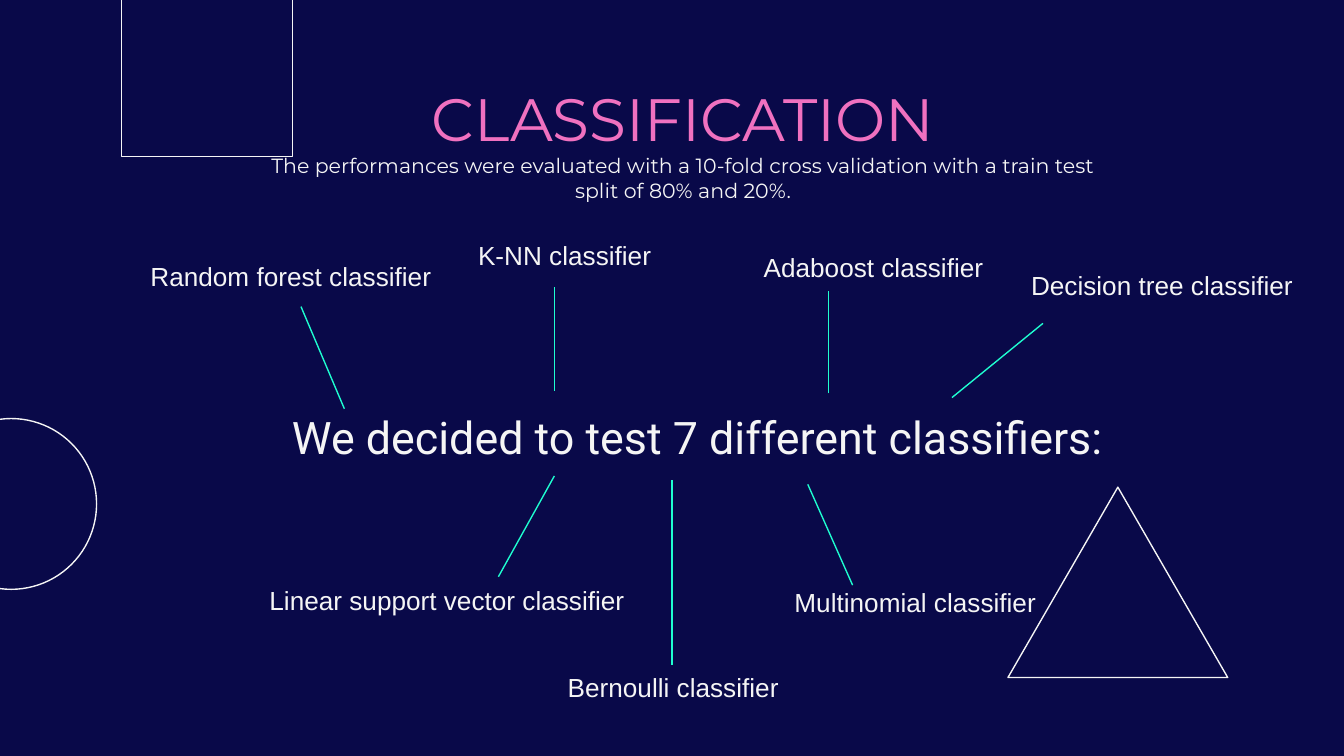
"""Build the classification slide with its seven classifiers."""
from lxml import etree
from pptx import Presentation
from pptx.dml.color import RGBColor
from pptx.enum.shapes import MSO_CONNECTOR, MSO_SHAPE
from pptx.enum.text import MSO_ANCHOR, MSO_AUTO_SIZE, PP_ALIGN
from pptx.oxml.ns import qn
from pptx.util import Pt

PX = 9525
NAVY = RGBColor(0x09, 0x09, 0x49)
WHITE = RGBColor(0xF5, 0xF5, 0xF5)
PINK = RGBColor(0xF0, 0x71, 0xC0)
TEAL = RGBColor(0x1F, 0xFE, 0xD0)
STRAIGHT = MSO_CONNECTOR.STRAIGHT
CENTER = PP_ALIGN.CENTER
MIDDLE, BOTTOM = MSO_ANCHOR.MIDDLE, MSO_ANCHOR.BOTTOM
GROW = MSO_AUTO_SIZE.SHAPE_TO_FIT_TEXT
LINE_WIDTH = Pt(0.75)
LABEL_HEIGHT = 33

LABEL = {"name": "Arial", "size": Pt(14), "color": WHITE}
HEADING = {"name": "Roboto", "size": Pt(24), "color": WHITE}
TITLE = {"name": "Montserrat", "size": Pt(32), "color": PINK}
SUBTITLE = {"name": "Montserrat", "size": Pt(11), "color": WHITE}
CENTERED = {side: 10 * PX for side in
            ("margin_left", "margin_top", "margin_right", "margin_bottom")}

OUTLINES = [
    (MSO_SHAPE.OVAL, (-53, 299, 122, 122)),
    (MSO_SHAPE.ISOSCELES_TRIANGLE, (720, 348, 157, 136)),
    (MSO_SHAPE.RECTANGLE, (87, -14, 122, 126)),
]
SPOKES = [
    (246, 292, 215, 219),
    (396, 279, 396, 205),
    (592, 281, 592, 208),
    (680, 284, 745, 231),
    (609, 418, 577, 346),
    (356, 412, 396, 340),
    (480, 475, 480, 343),
]
CLASSIFIERS = [
    ("Multinomial", 558, 414, 640),
    ("Bernoulli", 396, 475, 695),
    ("Linear support vector", 183, 413, 290),
    ("Random forest", 98, 181, 235),
    ("K-NN", 332, 166, 695),
    ("Adaboost", 536, 175, 200),
    ("Decision tree", 727, 188, 215),
]


def emu(*lengths):
    """Turn px lengths into EMU."""
    return [length * PX for length in lengths]


def add_outline(slide, kind, box):
    """Add an unfilled decorative shape."""
    sp = slide.shapes.add_shape(kind, *emu(*box))
    sp.shadow.inherit = False
    sp.fill.background()
    sp.line.color.rgb = WHITE
    sp.line.width = LINE_WIDTH


def add_spoke(slide, ends):
    """Add a line between the heading and a classifier."""
    line = slide.shapes.add_connector(STRAIGHT, *emu(*ends))
    line.line.color.rgb = TEAL
    line.line.width = LINE_WIDTH
    etree.SubElement(line._element.spPr, qn("a:effectLst"))


def add_text(slide, box, runs, frame, align=None):
    """Add a text box with one paragraph and a line per run."""
    tf = slide.shapes.add_textbox(*emu(*box)).text_frame
    tf.word_wrap = True
    for key, value in frame.items():
        setattr(tf, key, value)
    p = tf.paragraphs[0]
    p.alignment = align
    for i, (text, style) in enumerate(runs):
        if i:
            p.add_line_break()
        r = p.add_run()
        r.text = text
        for key, value in style.items():
            if key == "color":
                r.font.color.rgb = value
            else:
                setattr(r.font, key, value)


def main():
    """Build and save the slide."""
    prs = Presentation()
    prs.slide_width, prs.slide_height = emu(960, 540)
    s = prs.slides.add_slide(prs.slide_layouts[6])
    s.background.fill.solid()
    s.background.fill.fore_color.rgb = NAVY
    for kind, box in OUTLINES:
        add_outline(s, kind, box)
    add_text(s, (136, 283, 724, 58),
             [("We decided to test 7 different classifiers:", HEADING)],
             {**CENTERED, "vertical_anchor": BOTTOM}, CENTER)
    add_text(s, (183, 59, 610, 85),
             [("CLASSIFICATION", TITLE),
              ("The performances were evaluated with a 10-fold cross validation "
               "with a train test split of 80% and 20%.", SUBTITLE)],
             {**CENTERED, "vertical_anchor": MIDDLE}, CENTER)
    for ends in SPOKES:
        add_spoke(s, ends)
    for name, left, top, width in CLASSIFIERS:
        add_text(s, (left, top, width, LABEL_HEIGHT),
                 [(f"{name} classifier", LABEL)], {"auto_size": GROW})
    prs.save("out.pptx")


if __name__ == "__main__":
    main()
